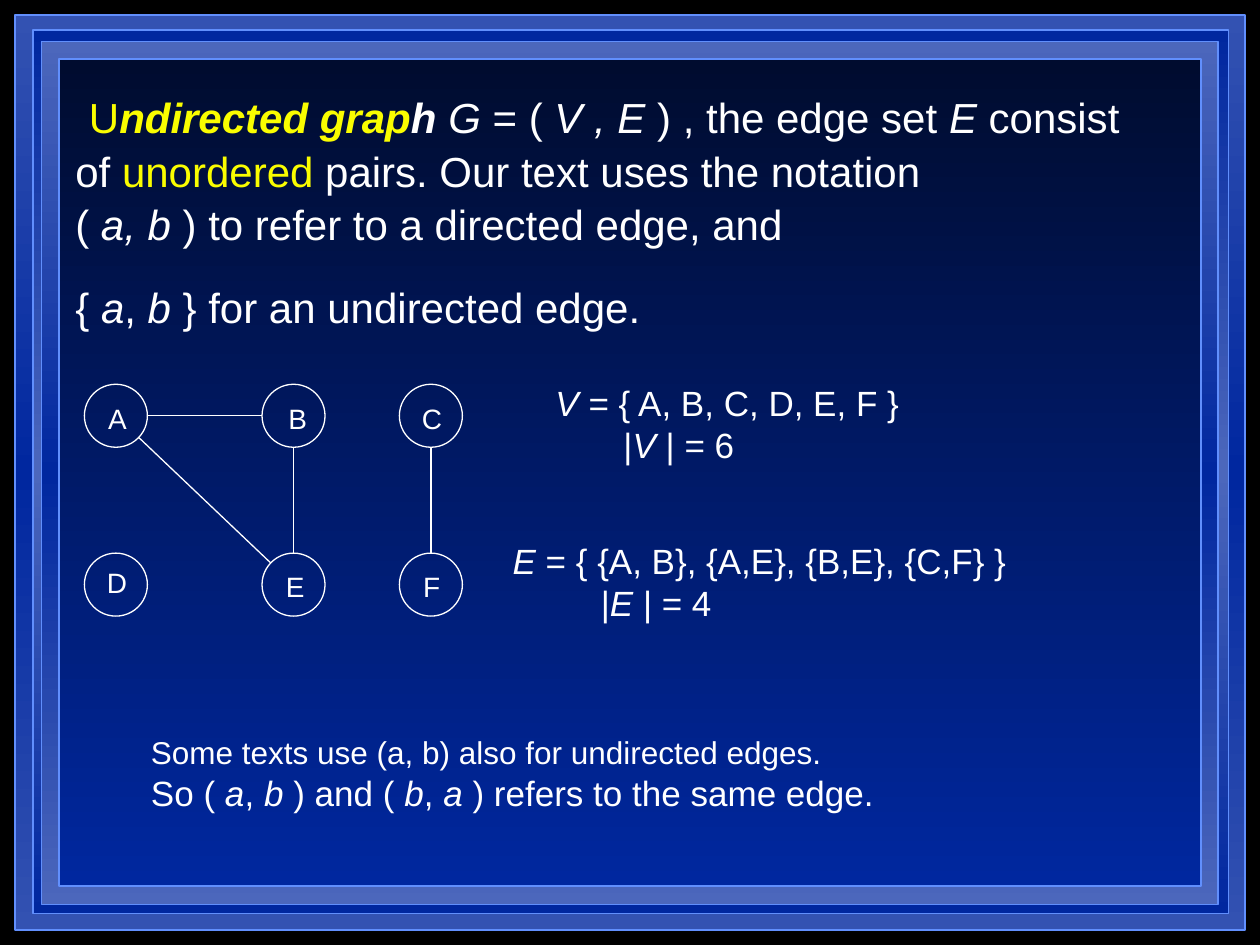
from math import hypot

from lxml import etree
from pptx import Presentation
from pptx.dml.color import RGBColor
from pptx.enum.shapes import MSO_CONNECTOR, MSO_SHAPE
from pptx.enum.text import MSO_ANCHOR
from pptx.oxml.ns import qn
from pptx.util import Inches, Pt

STRAIGHT = MSO_CONNECTOR.STRAIGHT
RECTANGLE = MSO_SHAPE.RECTANGLE
OVAL = MSO_SHAPE.OVAL
TOP = MSO_ANCHOR.TOP
MIDDLE = MSO_ANCHOR.MIDDLE

FONT = "Arial"
WHITE, YELLOW, BORDER = "FFFFFF", "FAFD00", "618FFD"
NAVY, BLUE, MID_BLUE, LIGHT_BLUE = "000C2F", "00279F", "3352B2", "4C67BC"

FRAMES = [
    ((0.12, 0.12, 9.76, 7.26), (MID_BLUE, BLUE, MID_BLUE)),
    ((0.26, 0.24, 9.49, 7.01), (BLUE, LIGHT_BLUE, BLUE)),
    ((0.33, 0.33, 9.34, 6.85), (LIGHT_BLUE, BLUE, LIGHT_BLUE)),
    ((0.47, 0.47, 9.06, 6.56), (NAVY, BLUE)),
]

RADIUS = 0.25
COLUMN_CENTERS, ROW_CENTERS = (0.92, 2.33, 3.42), (3.3, 4.64)
# Name: column, row, left and top of the label
NODES = {
    "A": (0, 0, 0.76, 3.14),
    "B": (1, 0, 2.19, 3.14),
    "C": (2, 0, 3.25, 3.14),
    "D": (0, 1, 0.75, 4.44),
    "E": (1, 1, 2.17, 4.47),
    "F": (2, 1, 3.26, 4.47),
}
EDGES = ["AE", "AB", "EB", "FC"]

# A run is its text, then style letters: i italic, b bold, y yellow; then a size
DEFINITION = [
    (" ", "", 28), ("U", "y"), ("ndirected grap", "biy"), ("h ", "bi"), ("G", "i"),
    (" = ( ",), ("V , E", "i"), (" ) , the edge set ",), ("E", "i"), (" consist of ",),
    ("unordered", "y"), (" pairs. Our text uses the notation \n( ",), ("a, b", "i"),
    (" ) to refer to a directed edge, and \n{ ",), ("a", "i"), (", ",), ("b", "i"),
    (" } for an undirected edge.",), (" ", "", 40),
]
VERTEX_SET = [("V", "i"), (" = { A, B, C, D, E, F }",)]
VERTEX_COUNT = [("|",), ("V", "i"), (" | = 6",)]
EDGE_SET = [("E", "i"), (" = { {A, B}, {A,E}, {B,E}, {C,F} }",)]
EDGE_COUNT = [("|",), ("E", "i"), (" | = 4",)]
NOTE = [("Some texts use (a, b) also for undirected edges.", "", 18)]
NOTE_RESULT = [
    ("So (",), (" a", "i"), (", ",), ("b", "i"), (" ) and ( ",), ("b", "i"),
    (", ",), ("a", "i"), (" ) refers to the same edge.",),
]


def color(value):
    return RGBColor.from_string(value)


def set_vertical_gradient(shape, colors):
    """Spread the colours evenly from the top to the bottom of the shape."""
    shape.fill.gradient()
    gradient = shape._element.spPr.find(qn("a:gradFill"))
    for child in list(gradient):
        gradient.remove(child)
    stops = etree.SubElement(gradient, qn("a:gsLst"))
    for index, value in enumerate(colors):
        position = 100000 * index // (len(colors) - 1)
        stop = etree.SubElement(stops, qn("a:gs"), pos=str(position))
        etree.SubElement(stop, qn("a:srgbClr"), val=value)
    etree.SubElement(gradient, qn("a:lin"), ang="5400000", scaled="0")


def add_outlined_shape(slide, kind, box, line_color, line_width):
    shape = slide.shapes.add_shape(kind, *map(Inches, box))
    shape.shadow.inherit = False
    shape.line.color.rgb = color(line_color)
    shape.line.width = Pt(line_width)
    return shape


def add_frame(slide, box, colors):
    frame = add_outlined_shape(slide, RECTANGLE, box, BORDER, 1)
    set_vertical_gradient(frame, colors)


def add_node(slide, center):
    x, y = center
    box = (x - RADIUS, y - RADIUS, 2 * RADIUS, 2 * RADIUS)
    node = add_outlined_shape(slide, OVAL, box, WHITE, 0.75)
    node.fill.background()


def add_edge(slide, start, end):
    """Join two node centres with a line that stops at the rims of the nodes."""
    (x1, y1), (x2, y2) = start, end
    distance = hypot(x2 - x1, y2 - y1)
    dx, dy = RADIUS * (x2 - x1) / distance, RADIUS * (y2 - y1) / distance
    ends = (x1 + dx, y1 + dy, x2 - dx, y2 - dy)
    edge = slide.shapes.add_connector(STRAIGHT, *map(Inches, ends))
    edge.line.color.rgb = color(WHITE)
    edge.line.width = Pt(0.75)
    etree.SubElement(edge._element.spPr, qn("a:effectLst"))


def add_run(paragraph, size, text, style="", own_size=None):
    run = paragraph.add_run()
    run.text = text
    run.font.name = FONT
    run.font.size = Pt(own_size or size)
    run.font.bold = "b" in style
    run.font.italic = "i" in style
    run.font.color.rgb = color(YELLOW if "y" in style else WHITE)


def add_runs(paragraph, size, runs):
    """Add the runs, with a line break for each newline in a text."""
    for text, *style in runs:
        for index, part in enumerate(text.split("\n")):
            if index:
                paragraph.add_line_break()
            add_run(paragraph, size, part, *style)


def add_text(slide, box, size, paragraphs, second_indent=0, anchor=TOP, spacing=1.0):
    """Add a text box; second_indent is the left margin of the second paragraph."""
    frame = slide.shapes.add_textbox(*map(Inches, box)).text_frame
    frame.word_wrap = True
    frame.vertical_anchor = anchor
    for index, runs in enumerate(paragraphs):
        paragraph = frame.add_paragraph() if index else frame.paragraphs[0]
        if index and second_indent:
            properties = paragraph._p.get_or_add_pPr()
            properties.set("marL", str(Inches(second_indent)))
            properties.set("indent", "0")
        paragraph.line_spacing = spacing
        add_runs(paragraph, size, runs)


def add_graph(slide):
    centers = {}
    for name, (column, row, label_left, label_top) in NODES.items():
        centers[name] = (COLUMN_CENTERS[column], ROW_CENTERS[row])
        add_node(slide, centers[name])
        add_text(slide, (label_left, label_top, 0.38, 0.37), 16, [[(name,)]])
    for start, end in EDGES:
        add_edge(slide, centers[start], centers[end])


def main():
    presentation = Presentation()
    presentation.slide_width = Inches(10)
    presentation.slide_height = Inches(7.5)
    slide = presentation.slides.add_slide(presentation.slide_layouts[6])
    slide.background.fill.solid()
    slide.background.fill.fore_color.rgb = color("000000")

    for box, colors in FRAMES:
        add_frame(slide, box, colors)
    add_text(slide, (0.5, 0.67, 8.83, 1.98), 24, [DEFINITION], anchor=MIDDLE, spacing=1.05)
    add_graph(slide)
    add_text(slide, (4.31, 2.98, 3, 0.77), 20, [VERTEX_SET, VERTEX_COUNT], 0.54)
    add_text(slide, (3.97, 4.23, 4.2, 0.77), 20, [EDGE_SET, EDGE_COUNT], 0.7)
    add_text(slide, (1.1, 5.77, 6, 0.74), 20, [NOTE, NOTE_RESULT])
    presentation.save("out.pptx")


if __name__ == "__main__":
    main()
